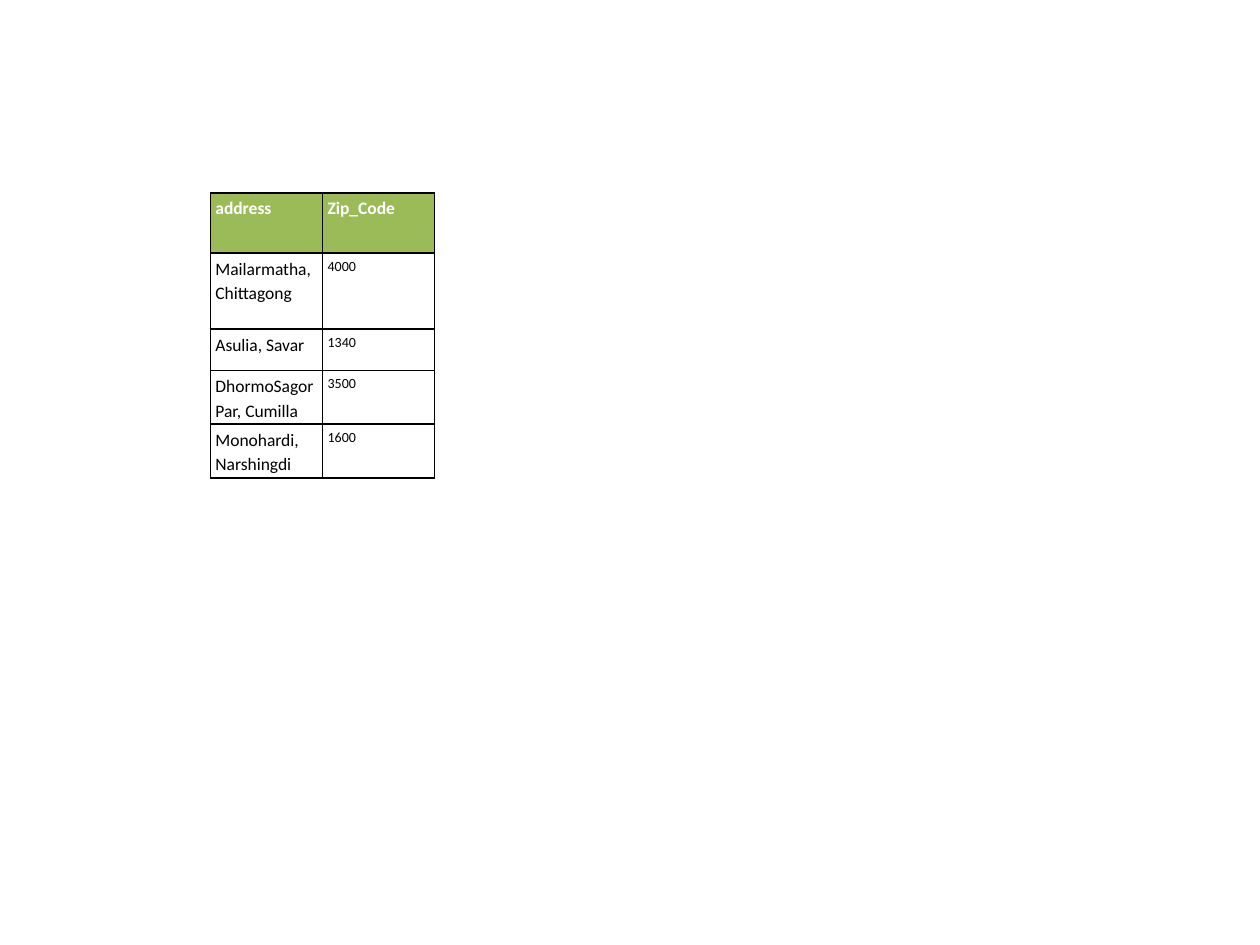
import pptx
import pptx.util
import pptx.dml.color
import pptx.oxml
import pptx.oxml.ns


def rgb(value):
    return pptx.dml.color.RGBColor.from_string(value)


class Deck:
    """Style, current slide and element methods."""
    font = "Calibri"
    ink, paper, accent = "000000", "FFFFFF", "9BBB59"
    head_size, body_sizes = 10, (10, 8)
    spacing = 1.15
    pad_x, pad_y = 0.04, 0.02

    def __init__(self, width, height):
        self.prs = pptx.Presentation()
        self.prs.slide_width = pptx.util.Inches(width)
        self.prs.slide_height = pptx.util.Inches(height)
        self.s = self.prs.slides.add_slide(self.prs.slide_layouts[6])

    def x(self, share):
        return round(self.prs.slide_width * share)

    def y(self, share):
        return round(self.prs.slide_height * share)

    def borders(self, cell, points=1):
        tc_pr = cell._tc.get_or_add_tcPr()
        for i, side in enumerate("LRTB"):
            tc_pr.insert(i, pptx.oxml.parse_xml(
                f'<a:ln{side} {pptx.oxml.ns.nsdecls("a")} w="{pptx.util.Pt(points)}">'
                f'<a:solidFill><a:srgbClr val="{self.ink}"/></a:solidFill>'
                f'</a:ln{side}>'))

    def cell(self, cell, text, size, color, fill=None):
        cell.margin_left = cell.margin_right = pptx.util.Inches(self.pad_x)
        cell.margin_top = cell.margin_bottom = pptx.util.Inches(self.pad_y)
        if fill:
            cell.fill.solid()
            cell.fill.fore_color.rgb = rgb(fill)
        else:
            cell.fill.background()
        self.borders(cell)
        p = cell.text_frame.paragraphs[0]
        p.line_spacing = self.spacing
        r = p.add_run()
        r.text = text
        r.font.name = self.font
        r.font.size = pptx.util.Pt(size)
        r.font.bold = bool(fill)
        r.font.color.rgb = rgb(color)

    def table(self, left, top, width, heights, rows):
        n = len(rows[0])
        tbl = self.s.shapes.add_table(
            len(rows), n, self.x(left), self.y(top),
            self.x(width), self.y(sum(heights))).table
        tbl.horz_banding = False
        for col in tbl.columns:
            col.width = self.x(width / n)
        for i, (height, row) in enumerate(zip(heights, rows)):
            tbl.rows[i].height = self.y(height)
            for j, text in enumerate(row):
                if i == 0:
                    self.cell(tbl.cell(i, j), text, self.head_size,
                              self.paper, self.accent)
                else:
                    self.cell(tbl.cell(i, j), text, self.body_sizes[j], self.ink)


deck = Deck(10, 7.5)

# Address table: row heights as shares of the slide height
deck.table(
    0.167, 1.53 / 7.5, 0.178, [h / 7.5 for h in (0.48, 0.6, 0.33, 0.42, 0.42)],
    [("address", "Zip_Code"),
     ("Mailarmatha, Chittagong", "4000"),
     ("Asulia, Savar", "1340"),
     ("DhormoSagorPar, Cumilla", "3500"),
     ("Monohardi, Narshingdi", "1600")])

deck.prs.save("out.pptx")
